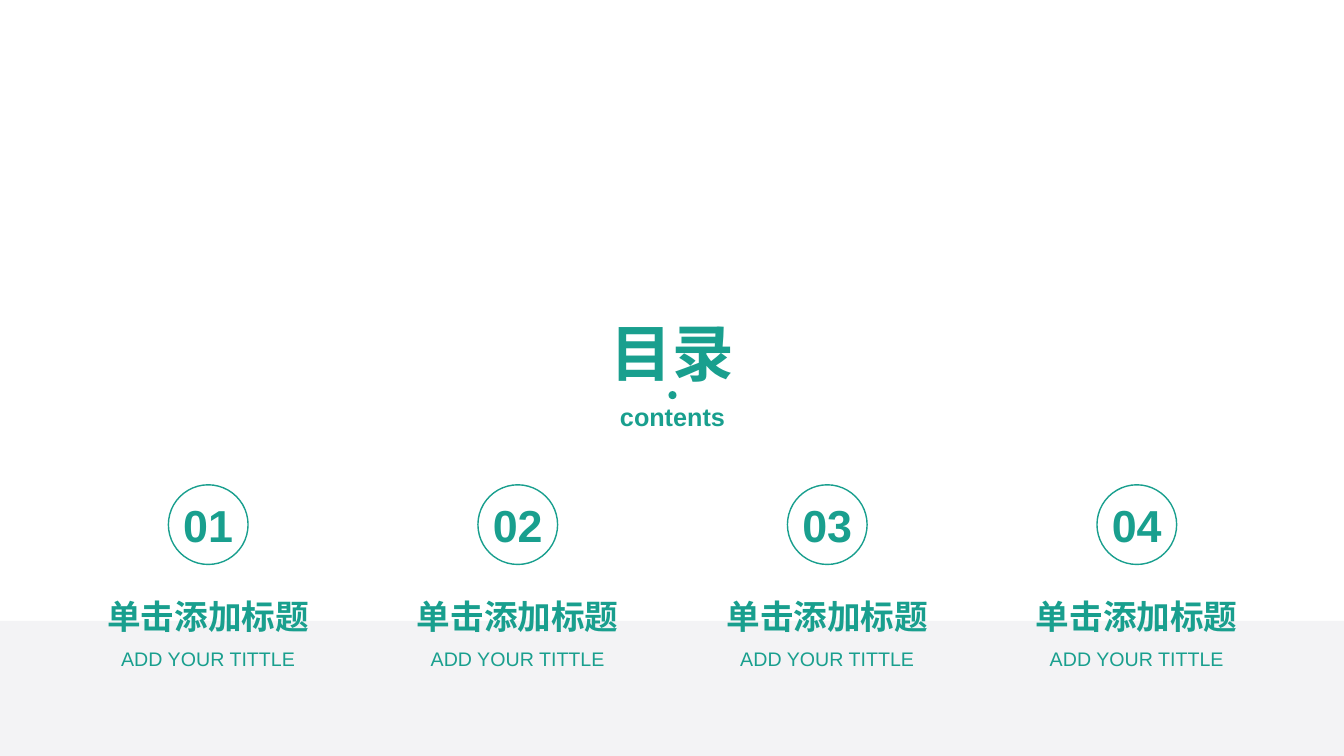
from dataclasses import dataclass

from pptx import Presentation
from pptx.dml.color import RGBColor
from pptx.enum.shapes import MSO_SHAPE as Shape
from pptx.enum.text import MSO_AUTO_SIZE as AutoSize, PP_ALIGN as Align
from pptx.util import Inches, Pt


@dataclass(frozen=True)
class Theme:
    """Colours, font and type sizes of the slide."""
    accent: RGBColor = RGBColor(0x19, 0x9F, 0x8E)
    band: RGBColor = RGBColor(0xF3, 0xF3, 0xF5)
    background: RGBColor = RGBColor(0xFF, 0xFF, 0xFF)
    font: str = "Arial"
    heading: int = 44
    number: int = 32
    title: int = 24
    subheading: int = 18
    caption: int = 14
    outline: int = 1


THEME = Theme()
SLIDE_WIDTH, SLIDE_HEIGHT = 13.33, 7.5
ENTRIES = [("单击添加标题", "ADD YOUR TITTLE")] * 4
ENTRY_LEFT, ENTRY_TOP, ENTRY_WIDTH, ENTRY_PITCH = 0.55, 4.81, 3.03, 3.07


def add_text(slide, text, left, top, width, height, *, size, bold=False):
    """Add one centred line of accent-coloured text."""
    box = slide.shapes.add_textbox(Inches(left), Inches(top), Inches(width), Inches(height))
    frame = box.text_frame
    frame.word_wrap = True
    frame.auto_size = AutoSize.SHAPE_TO_FIT_TEXT
    paragraph = frame.paragraphs[0]
    paragraph.alignment = Align.CENTER
    run = paragraph.add_run()
    run.text = text
    run.font.name = THEME.font
    run.font.size = Pt(size)
    run.font.bold = bold
    run.font.color.rgb = THEME.accent


def add_figure(slide, kind, left, top, width, height, *, fill=None, line=None):
    """Add a preset shape with an optional fill and outline."""
    shape = slide.shapes.add_shape(kind, Inches(left), Inches(top), Inches(width), Inches(height))
    shape.shadow.inherit = False
    if fill is None:
        shape.fill.background()
    else:
        shape.fill.solid()
        shape.fill.fore_color.rgb = fill
    if line is None:
        shape.line.fill.background()
    else:
        shape.line.color.rgb = line
        shape.line.width = Pt(THEME.outline)


def add_backdrop(slide, height):
    """Paint the white page and the pale band along its foot."""
    slide.background.fill.solid()
    slide.background.fill.fore_color.rgb = THEME.background
    add_figure(slide, Shape.RECTANGLE, 0, SLIDE_HEIGHT - height, SLIDE_WIDTH, height,
               fill=THEME.band)


def add_heading(slide, left, top, width):
    """Place the heading, its dot and the subheading in a column."""
    dot = 0.08
    add_text(slide, "目录", left, top, width, 0.84, size=THEME.heading, bold=True)
    add_figure(slide, Shape.OVAL, left + (width - dot) / 2, top + 0.8, dot, dot,
               fill=THEME.accent)
    add_text(slide, "contents", left, top + 0.85, width, 0.4,
             size=THEME.subheading, bold=True)


def add_entry(slide, number, title, caption, left, top, width):
    """Place a circled number above its title and caption."""
    circle, label = 0.79, 0.86
    centre = left + width / 2
    add_figure(slide, Shape.OVAL, centre - circle / 2, top, circle, circle,
               line=THEME.accent)
    add_text(slide, f"{number:02}", centre - label / 2, top + 0.08, label, 0.64,
             size=THEME.number, bold=True)
    add_text(slide, title, left, top + 1.05, width, 0.5, size=THEME.title, bold=True)
    add_text(slide, caption, left, top + 1.56, width, 0.34, size=THEME.caption)


def main():
    """Build the contents slide and save it."""
    presentation = Presentation()
    presentation.slide_width = Inches(SLIDE_WIDTH)
    presentation.slide_height = Inches(SLIDE_HEIGHT)
    slide = presentation.slides.add_slide(presentation.slide_layouts[6])
    add_backdrop(slide, 1.34)
    add_heading(slide, 5.71, 3.08, 1.92)
    for index, (title, caption) in enumerate(ENTRIES):
        add_entry(slide, index + 1, title, caption,
                  ENTRY_LEFT + index * ENTRY_PITCH, ENTRY_TOP, ENTRY_WIDTH)
    presentation.save("out.pptx")


if __name__ == "__main__":
    main()
